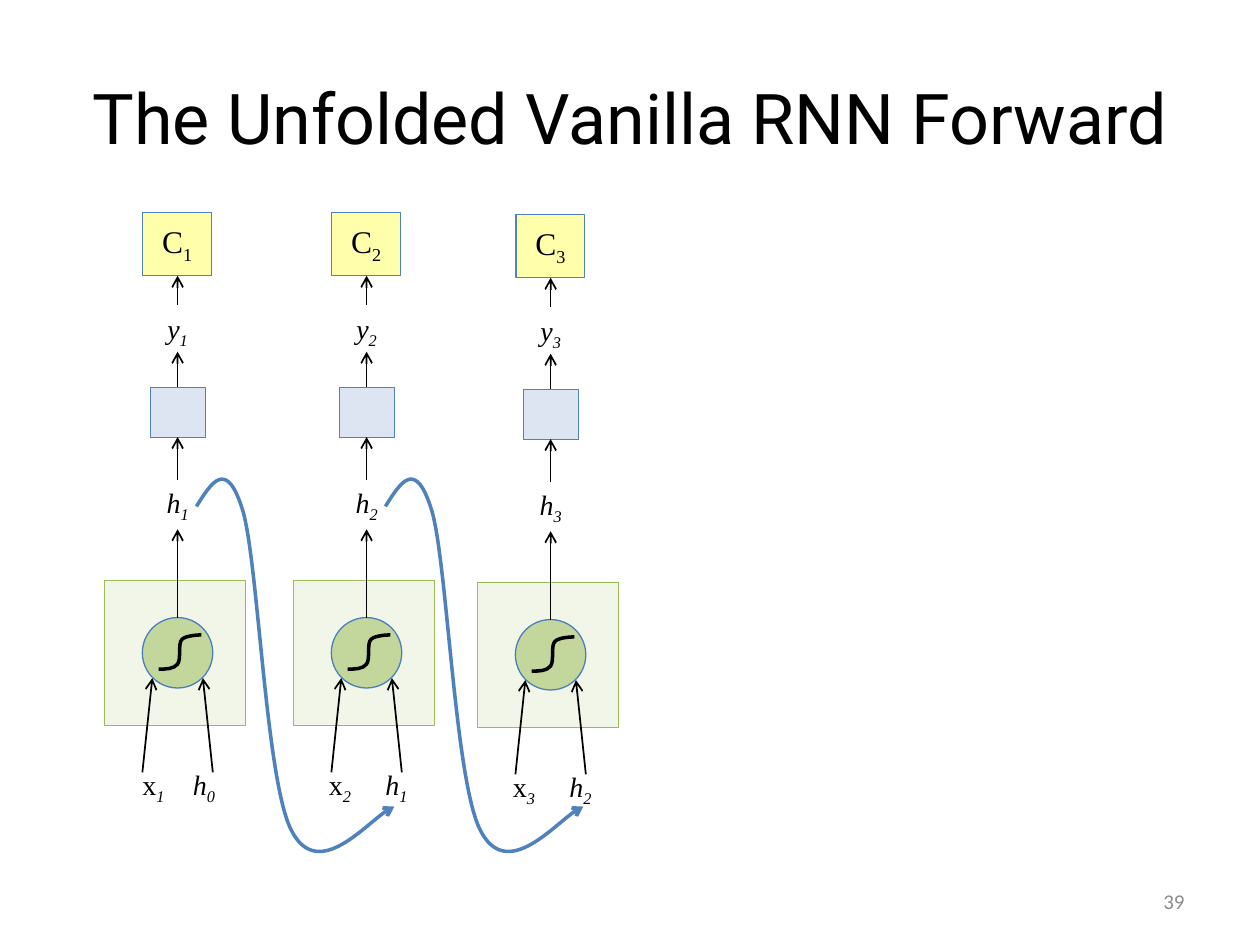
from lxml import etree
from pptx import Presentation
from pptx.dml.color import RGBColor
from pptx.enum.shapes import MSO_CONNECTOR, MSO_SHAPE
from pptx.enum.text import MSO_ANCHOR, PP_ALIGN
from pptx.oxml.ns import qn
from pptx.util import Cm, Pt

RECT, OVAL = MSO_SHAPE.RECTANGLE, MSO_SHAPE.OVAL
STRAIGHT = MSO_CONNECTOR.STRAIGHT
LEFT, CENTER, RIGHT = PP_ALIGN.LEFT, PP_ALIGN.CENTER, PP_ALIGN.RIGHT
TOP, MIDDLE = MSO_ANCHOR.TOP, MSO_ANCHOR.MIDDLE

BLACK = RGBColor(0x00, 0x00, 0x00)
GRAY = RGBColor(0x8C, 0x8C, 0x8C)
YELLOW = RGBColor(0xFF, 0xFF, 0x00)
BLUE = RGBColor(0x4F, 0x81, 0xBD)
BLUE_FILL = RGBColor(0x95, 0xB3, 0xD7)
GREEN = RGBColor(0x9B, 0xBB, 0x59)
CELL_FILL = RGBColor(0xD7, 0xE4, 0xBD)
UNIT_FILL = RGBColor(0xC3, 0xD6, 0x9B)
UNIT_LINE = RGBColor(0x4B, 0x7E, 0xBC)
SERIF = "Times New Roman"

TITLE = "The Unfolded Vanilla RNN Forward"
PAGE = "39"
STEPS = [
    {"cx": 3.58, "dy": 0, "inset": 0.76, "tab": 1.02},
    {"cx": 7.39, "dy": 0, "inset": 0.71, "tab": 1.14},
    {"cx": 11.1, "dy": 0.04, "inset": 0.71, "tab": 1.14},
]
ARROWS = [
    ((0, 12.45), (0, 10.67)),
    ((-0.71, 15.57), (-0.51, 13.67)),
    ((0.71, 15.57), (0.51, 13.67)),
    ((0, 9.68), (0, 8.81)),
    ((0, 7.8), (0, 7.09)),
    ((0, 6.15), (0, 5.56)),
]
SIGMOID = {
    "box": (-0.38, 12.8, 0.48, 13.49),
    "points": [(-0.38, 13.49), (-0.23, 13.49), (-0.08, 13.49), (0, 13.39),
               (0.08, 13.28), (0, 12.98), (0.09, 12.89),
               (0.18, 12.8), (0.48, 12.8), (0.48, 12.8)],
}
LOOP = {
    "box": (0.38, 9.65, 4.37, 17.09),
    "points": [(0.38, 10.21), (0.69, 9.72), (0.99, 9.22), (1.32, 10.31),
               (1.63, 11.4), (1.78, 15.72), (2.29, 16.73),
               (2.8, 17.75), (4.04, 16.36), (4.37, 16.26)],
}


def add_arrowhead(line):
    etree.SubElement(line._get_or_add_ln(), qn("a:tailEnd"), type="arrow")


def add_box(shapes, kind, x, y, w, h, fill, line, alpha=None):
    sp = shapes.add_shape(kind, Cm(x), Cm(y), Cm(w), Cm(h))
    sp.shadow.inherit = False
    sp.fill.solid()
    sp.fill.fore_color.rgb = fill
    if alpha:
        clr = sp._element.spPr.find(qn("a:solidFill"))[0]
        etree.SubElement(clr, qn("a:alpha"), val=str(alpha * 1000))
    sp.line.color.rgb = line
    sp.line.width = Pt(0.75)
    return sp


def add_text_box(shapes, x, y, w, h, wrap=False):
    sp = shapes.add_textbox(Cm(x), Cm(y), Cm(w), Cm(h))
    sp.text_frame.word_wrap = wrap
    return sp


def write(sp, runs, size, font=SERIF, color=BLACK, align=CENTER, anchor=TOP, tab=None):
    tf = sp.text_frame
    tf.vertical_anchor = anchor
    p = tf.paragraphs[0]
    p.alignment = align
    if tab:
        tabs = etree.SubElement(p._p.get_or_add_pPr(), qn("a:tabLst"))
        etree.SubElement(tabs, qn("a:tab"), pos=str(Cm(tab)), algn="l")
    p.font.size = Pt(size)
    p.font.name = font
    p.font.color.rgb = color
    for text, italic, sub in runs:
        r = p.add_run()
        r.text = text
        r.font.italic = italic
        if sub:
            r._r.get_or_add_rPr().set("baseline", "-25000")


def symbol(letter, index, italic=True, index_italic=True):
    return [(letter, italic, False), (str(index), index_italic, True)]


def add_arrow(shapes, start, end):
    c = shapes.add_connector(STRAIGHT, *[Cm(v) for v in (*start, *end)])
    etree.SubElement(c._element.spPr, qn("a:effectLst"))
    c.line.color.rgb = BLACK
    c.line.width = Pt(1)
    add_arrowhead(c.line)


def add_curve(shapes, curve, cx, dy, color):
    x1, y1, x2, y2 = curve["box"]
    builder = shapes.build_freeform(Cm(cx + x1), Cm(y1 + dy))
    builder.add_line_segments([(Cm(cx + x2), Cm(y2 + dy))], close=False)
    sp = builder.convert_to_shape()
    path = next(sp._element.iter(qn("a:path")))
    for segment in list(path):
        path.remove(segment)
    for i, (x, y) in enumerate(curve["points"]):
        if i == 0:
            segment = etree.SubElement(path, qn("a:moveTo"))
        elif i % 3 == 1:
            segment = etree.SubElement(path, qn("a:cubicBezTo"))
        etree.SubElement(segment, qn("a:pt"), x=str(Cm(x - x1)), y=str(Cm(y - y1)))
    sp.shadow.inherit = False
    sp.fill.background()
    sp.line.color.rgb = color
    sp.line.width = Pt(2)
    return sp


def add_step(s, n, cx, dy, inset, tab):
    g = s.shapes.add_group_shape().shapes
    add_box(g, RECT, cx - 1.47, 11.71 + dy, 2.84, 2.92, CELL_FILL, GREEN, 33)
    add_box(g, OVAL, cx - 0.71, 12.45 + dy, 1.42, 1.42, UNIT_FILL, UNIT_LINE)
    add_curve(g, SIGMOID, cx, dy, BLACK)
    add_box(g, RECT, cx - 0.55, 7.81 + dy, 1.11, 1.01, BLUE_FILL, BLUE, 33)
    cost = add_box(g, RECT, cx - 0.7, 4.28 + dy, 1.39, 1.27, YELLOW, BLUE, 33)
    write(cost, symbol("C", n, False, False), 18, anchor=MIDDLE)
    for letter, y in (("h", 9.67), ("y", 6.15)):
        write(add_text_box(g, cx - 0.56, y + dy, 1.12, 0.94), symbol(letter, n), 16)
    inputs = add_text_box(g, cx - 1.47, 15.34 + dy, 2.84, 1.4, wrap=True)
    inputs.text_frame.margin_left = Cm(inset)
    runs = symbol("x", n, italic=False) + symbol("\th", n - 1)
    write(inputs, runs, 16, align=LEFT, tab=tab)
    for (x1, y1), (x2, y2) in ARROWS:
        add_arrow(g, (cx + x1, y1 + dy), (cx + x2, y2 + dy))


def main():
    prs = Presentation()
    prs.slide_width, prs.slide_height = Cm(25.4), Cm(19.05)
    s = prs.slides.add_slide(prs.slide_layouts[5])
    title = s.shapes.title
    title.left, title.top, title.width, title.height = Cm(1.27), Cm(0.76), Cm(22.86), Cm(3.18)
    write(title, [(TITLE, None, False)], 40, font="Roboto", anchor=MIDDLE)
    page = add_text_box(s.shapes, 18.2, 17.66, 5.93, 1.01, wrap=True)
    write(page, [(PAGE, None, False)], 12, "Calibri", GRAY, RIGHT, MIDDLE)
    for n, step in enumerate(STEPS, 1):
        add_step(s, n, **step)
    for step in STEPS[:-1]:
        loop = add_curve(s.shapes, LOOP, step["cx"], step["dy"], BLUE)
        add_arrowhead(loop.line)
    prs.save("out.pptx")


if __name__ == "__main__":
    main()
